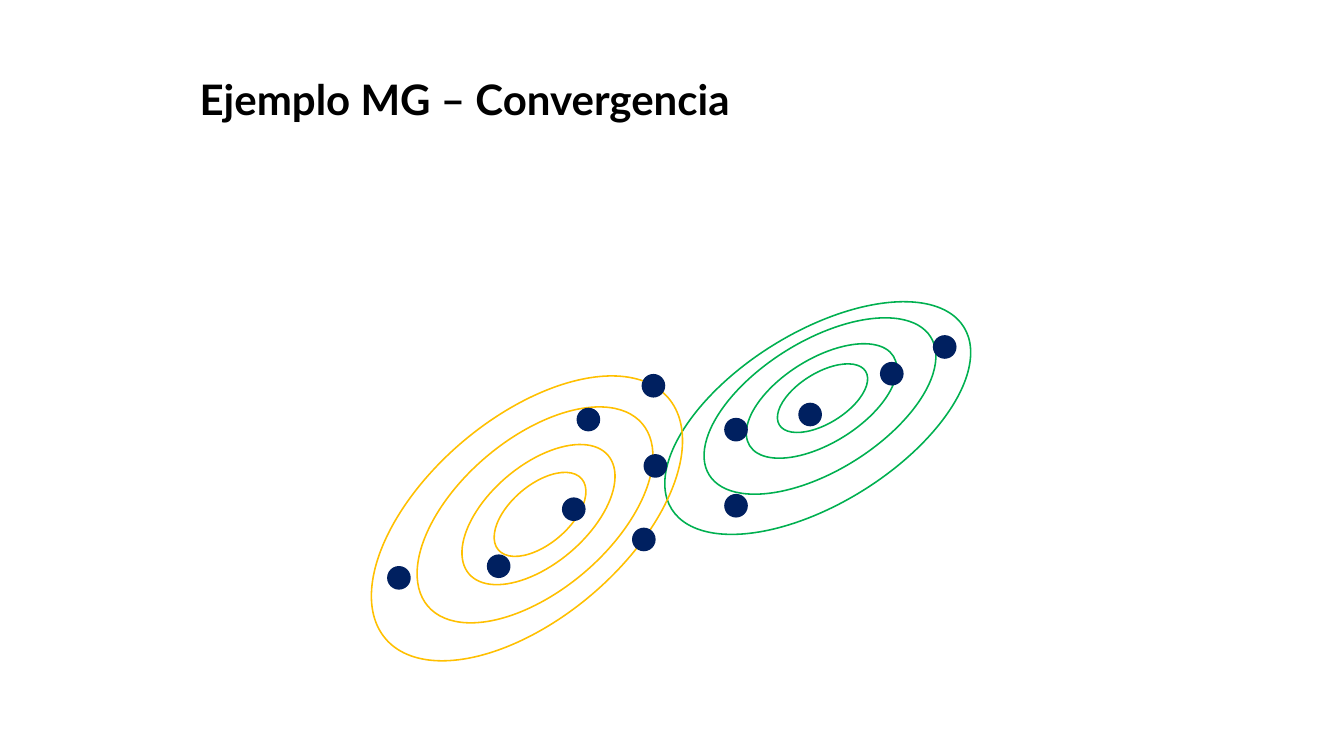
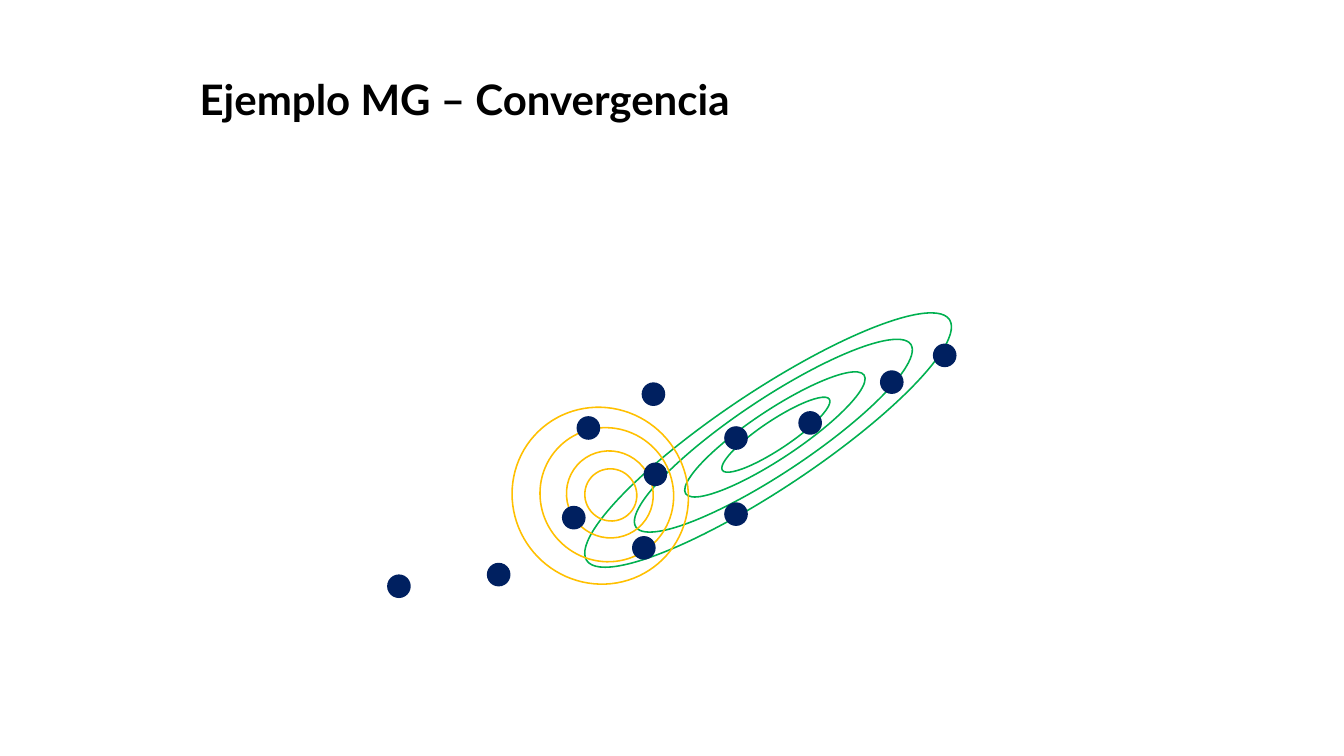
"""Build two slides showing a Gaussian mixture converging on a set of points."""
from dataclasses import dataclass

from pptx import Presentation
from pptx.dml.color import RGBColor
from pptx.enum import shapes, text
from pptx.util import Pt


@dataclass(frozen=True)
class Theme:
    font: str = "Lato"
    title_size: float = 60
    ring_width: float = 2.25
    dot_size: float = 33.8
    black: RGBColor = RGBColor(0x00, 0x00, 0x00)
    white: RGBColor = RGBColor(0xFF, 0xFF, 0xFF)
    navy: RGBColor = RGBColor(0x00, 0x20, 0x60)
    green: RGBColor = RGBColor(0x00, 0xB0, 0x50)
    amber: RGBColor = RGBColor(0xFF, 0xC0, 0x00)


THEME = Theme()
TITLE = "Ejemplo MG – Convergencia"
RING_SCALES = (1, 0.758, 0.492, 0.295)
DOTS = (
    (553, 808.6), (695.5, 792), (802.8, 710.6), (919.4, 648.7),
    (1034.6, 596.9), (1140.5, 575.3), (1257.1, 517), (1332.7, 478.8),
    (823.7, 582.5), (916.6, 534.2), (902.9, 753.8), (1034.6, 705.6),
)


@dataclass(frozen=True)
class Gaussian:
    color: RGBColor
    width: float
    height: float
    angle: float
    centers: tuple


SLIDES = (
    (0, (
        Gaussian(THEME.green, 491.8, 244.1, 148.1,
                 ((1168.2, 597.2), (1171.4, 580), (1173.6, 572.8), (1175, 568.8))),
        Gaussian(THEME.amber, 285.8, 530.6, 229.6,
                 ((752.8, 740.5), (764.3, 735.5), (769.3, 735.1), (771.5, 734.8))),
    )),
    (12, (
        Gaussian(THEME.green, 139.7, 622.1, 236.4,
                 ((1097.3, 628.6), (1104.8, 622.4), (1107, 620.6), (1108.4, 621))),
        Gaussian(THEME.amber, 254.9, 249.8, 229.6,
                 ((857.5, 708.1), (866.9, 706.7), (871.2, 706.3), (872.6, 707))),
    )),
)


def add_title(s):
    tf = s.shapes.add_textbox(Pt(278), Pt(109.4), Pt(1466.6), Pt(80.6)).text_frame
    tf.word_wrap = True
    tf.vertical_anchor = text.MSO_ANCHOR.TOP
    p = tf.paragraphs[0]
    p.text = TITLE
    p.line_spacing = 0.9
    p.font.name = THEME.font
    p.font.size = Pt(THEME.title_size)
    p.font.bold = True
    p.font.color.rgb = THEME.black


def add_ellipse(group, x, y, width, height):
    sp = group.shapes.add_shape(shapes.MSO_SHAPE.OVAL, Pt(x), Pt(y), Pt(width), Pt(height))
    sp.shadow.inherit = False
    return sp


def add_rings(s, gaussian):
    group = s.shapes.add_group_shape()
    for scale, (cx, cy) in zip(RING_SCALES, gaussian.centers):
        width, height = gaussian.width * scale, gaussian.height * scale
        sp = add_ellipse(group, cx - width / 2, cy - height / 2, width, height)
        sp.rotation = gaussian.angle
        sp.fill.background()
        sp.line.color.rgb = gaussian.color
        sp.line.width = Pt(THEME.ring_width)


def add_dots(s, shift):
    group = s.shapes.add_group_shape()
    for x, y in DOTS:
        sp = add_ellipse(group, x, y + shift, THEME.dot_size, THEME.dot_size)
        sp.fill.solid()
        sp.fill.fore_color.rgb = THEME.navy
        sp.line.fill.background()


def main():
    prs = Presentation()
    prs.slide_width, prs.slide_height = Pt(1920), Pt(1080)
    for shift, gaussians in SLIDES:
        s = prs.slides.add_slide(prs.slide_layouts[6])
        s.background.fill.solid()
        s.background.fill.fore_color.rgb = THEME.white
        for gaussian in gaussians:
            add_rings(s, gaussian)
        add_dots(s, shift)
        add_title(s)
    prs.save("out.pptx")


if __name__ == "__main__":
    main()
